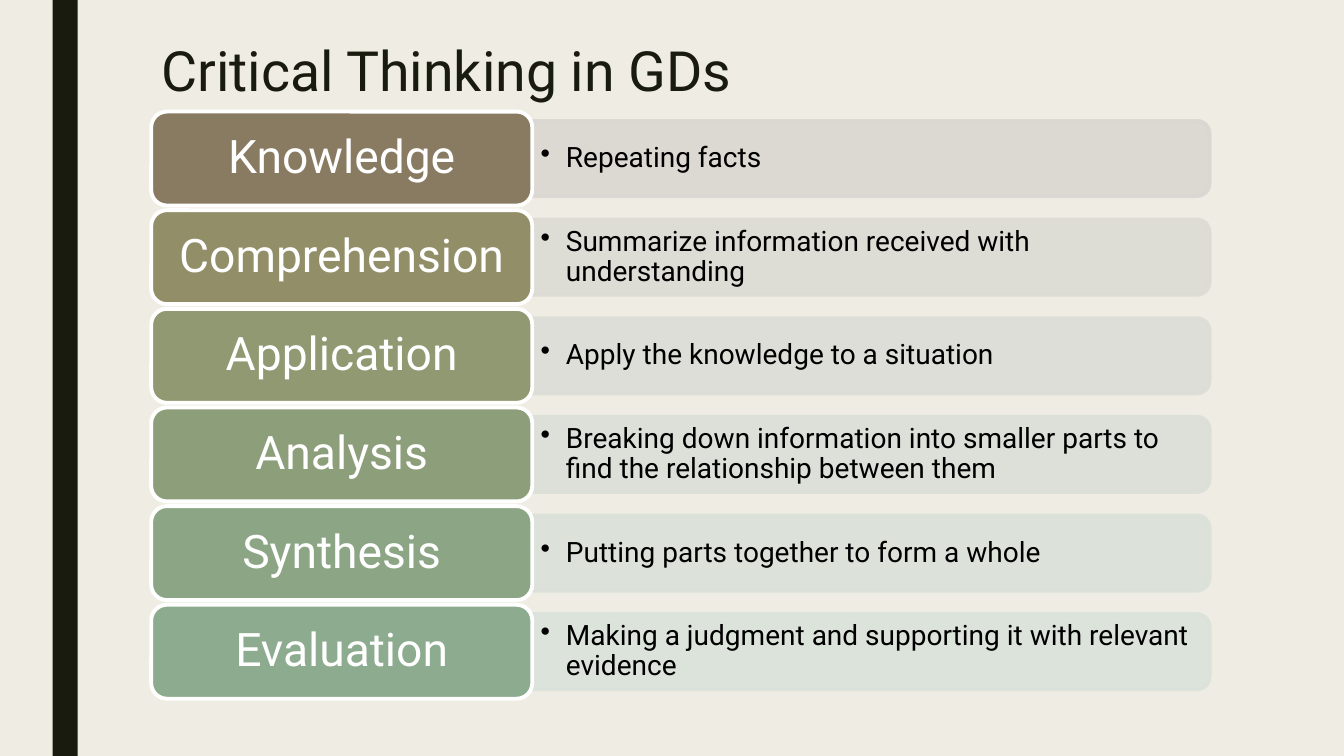
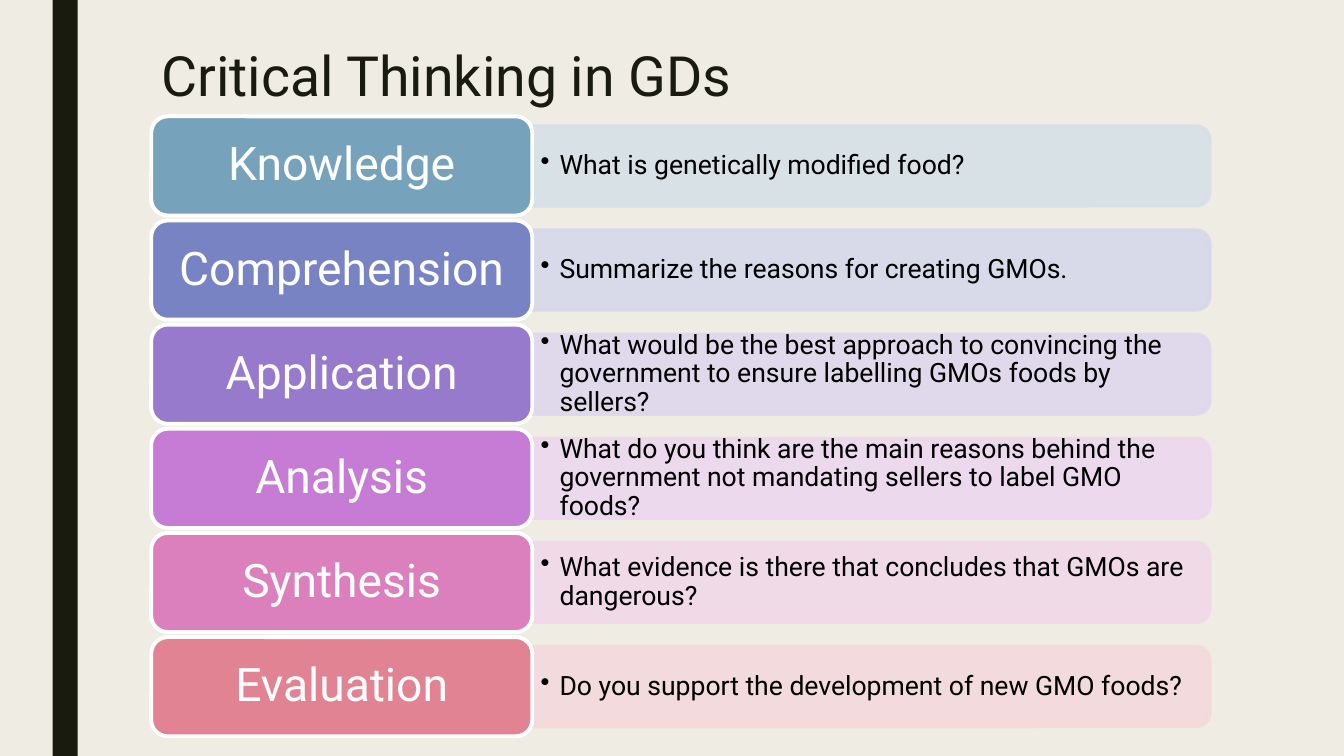
from lxml.etree import SubElement
from pptx import Presentation
from pptx.dml.color import RGBColor
from pptx.enum.shapes import MSO_SHAPE
from pptx.enum.text import MSO_ANCHOR, MSO_AUTO_SIZE, PP_ALIGN
from pptx.oxml.ns import qn
from pptx.util import Pt

FONT = "Roboto"
COLORS = {"background": "EFEDE3", "dark": "191B0E", "white": "FFFFFF", "black": "000000"}
TITLE = "Critical Thinking in GDs"
LEVELS = ["Knowledge", "Comprehension", "Application", "Analysis", "Synthesis", "Evaluation"]

LEFT, LABEL_WIDTH, BAR_WIDTH = 108, 272.2, 483.8
BAR_LEFT = LEFT + LABEL_WIDTH
ROW_PITCH, BAR_SHARE = 1.05, 0.8  # both relative to the label height

# Each row: label colour, bar colour, bullet text
PAGES = [
    {"title_top": 25.9, "top": 79.7, "label_height": 67.1, "size": 20, "indent": 18, "rows": [
        ("897B61", "DAD7D2", "Repeating facts"),
        ("928F68", "DCDBD4", "Summarize information received with understanding"),
        ("909971", "DCDDD6", "Apply the knowledge to a situation"),
        ("8D9F7A", "DBDFD7", "Breaking down information into smaller parts to find "
                             "the relationship between them"),
        ("8CA584", "DBE1D9", "Putting parts together to form a whole"),
        ("8DAB8E", "DBE2DB", "Making a judgment and supporting it with relevant evidence"),
    ]},
    {"title_top": 29.5, "top": 83.1, "label_height": 70.85, "size": 19, "indent": 13.5, "rows": [
        ("77A2BB", "D6E0E7", "What is genetically modified food?"),
        ("7883C4", "D6D8EA", "Summarize the reasons for creating GMOs."),
        ("977ACC", "DFD7ED", "What would be the best approach to convincing the government "
                             "to ensure labelling GMOs foods by sellers?"),
        ("C67CD4", "EDD7EF", "What do you think are the main reasons behind the government "
                             "not mandating sellers to label GMO foods?"),
        ("DB7FBD", "F2D8E8", "What evidence is there that concludes that GMOs are dangerous?"),
        ("E28394", "F4D9DC", "Do you support the development of new GMO foods?"),
    ]},
]


def write(box, text, size, color, align=PP_ALIGN.LEFT, spacing=0.9, margins=(7.2, 3.6), indent=0):
    """Fill box with one vertically centred paragraph, bulleted if it has an indent."""
    frame = box.text_frame
    frame.word_wrap = True
    frame.auto_size = MSO_AUTO_SIZE.NONE
    frame.vertical_anchor = MSO_ANCHOR.MIDDLE
    frame.margin_left = frame.margin_right = Pt(margins[0])
    frame.margin_top = frame.margin_bottom = Pt(margins[1])
    para = frame.paragraphs[0]
    if indent:
        properties = para._p.get_or_add_pPr()
        properties.set("marL", str(Pt(indent)))
        properties.set("indent", str(-Pt(indent)))
        SubElement(properties, qn("a:buChar")).set("char", "•")
    para.alignment = align
    para.line_spacing = spacing
    span = para.add_run()
    span.text = text
    span.font.name = FONT
    span.font.size = Pt(size)
    span.font.color.rgb = RGBColor.from_string(color)


def add_block(page, kind, left, top, width, height, fill, line=None, opacity=100):
    block = page.shapes.add_shape(kind, Pt(left), Pt(top), Pt(width), Pt(height))
    block.shadow.inherit = False
    block.fill.solid()
    block.fill.fore_color.rgb = RGBColor.from_string(fill)
    if line:
        block.line.color.rgb = RGBColor.from_string(line)
        block.line.width = Pt(2.75)
    else:
        block.line.fill.background()
    if opacity < 100:
        for color in block.element.spPr.iter(qn("a:srgbClr")):
            SubElement(color, qn("a:alpha")).set("val", str(opacity * 1000))
    return block


deck = Presentation()
deck.slide_width, deck.slide_height = Pt(960), Pt(540)
master = deck.slide_master
master.background.fill.solid()
master.background.fill.fore_color.rgb = RGBColor.from_string(COLORS["background"])
pages = [deck.slides.add_slide(deck.slide_layouts[5]) for _ in PAGES]

# The side band is made on a page, then moved to the master behind its placeholders
band = add_block(pages[0], MSO_SHAPE.RECTANGLE, 37.5, 0, 18, 540, COLORS["dark"])
band.element.nvSpPr.cNvPr.set("id", "20")
master.shapes.element.insert(2, band.element)

for page, content in zip(pages, PAGES):
    title = page.shapes.title
    title.left, title.top = Pt(LEFT), Pt(content["title_top"])
    title.width, title.height = Pt(756), Pt(53.3)
    write(title, TITLE, 39.6, COLORS["dark"], spacing=0.89)

    label_height = content["label_height"]
    bar_height = label_height * BAR_SHARE
    for index, (label_color, bar_color, text) in enumerate(content["rows"]):
        top = content["top"] + index * label_height * ROW_PITCH
        middle = top + label_height / 2

        # Turned a quarter, so width and height swap around the same centre
        bar = add_block(page, MSO_SHAPE.ROUND_2_SAME_RECTANGLE,
                        BAR_LEFT + (BAR_WIDTH - bar_height) / 2, middle - BAR_WIDTH / 2,
                        bar_height, BAR_WIDTH, bar_color, line=bar_color, opacity=90)
        bar.rotation = 90

        box = page.shapes.add_textbox(Pt(BAR_LEFT), Pt(middle - bar_height / 2),
                                      Pt(BAR_WIDTH - 2.8), Pt(bar_height))
        write(box, text, content["size"], COLORS["black"],
              margins=(6, 3), indent=content["indent"])

        label = add_block(page, MSO_SHAPE.ROUNDED_RECTANGLE, LEFT, top, LABEL_WIDTH,
                          label_height, label_color, line=COLORS["white"])
        write(label, LEVELS[index], 33, COLORS["white"],
              align=PP_ALIGN.CENTER, margins=(10, 5))

deck.save("out.pptx")
